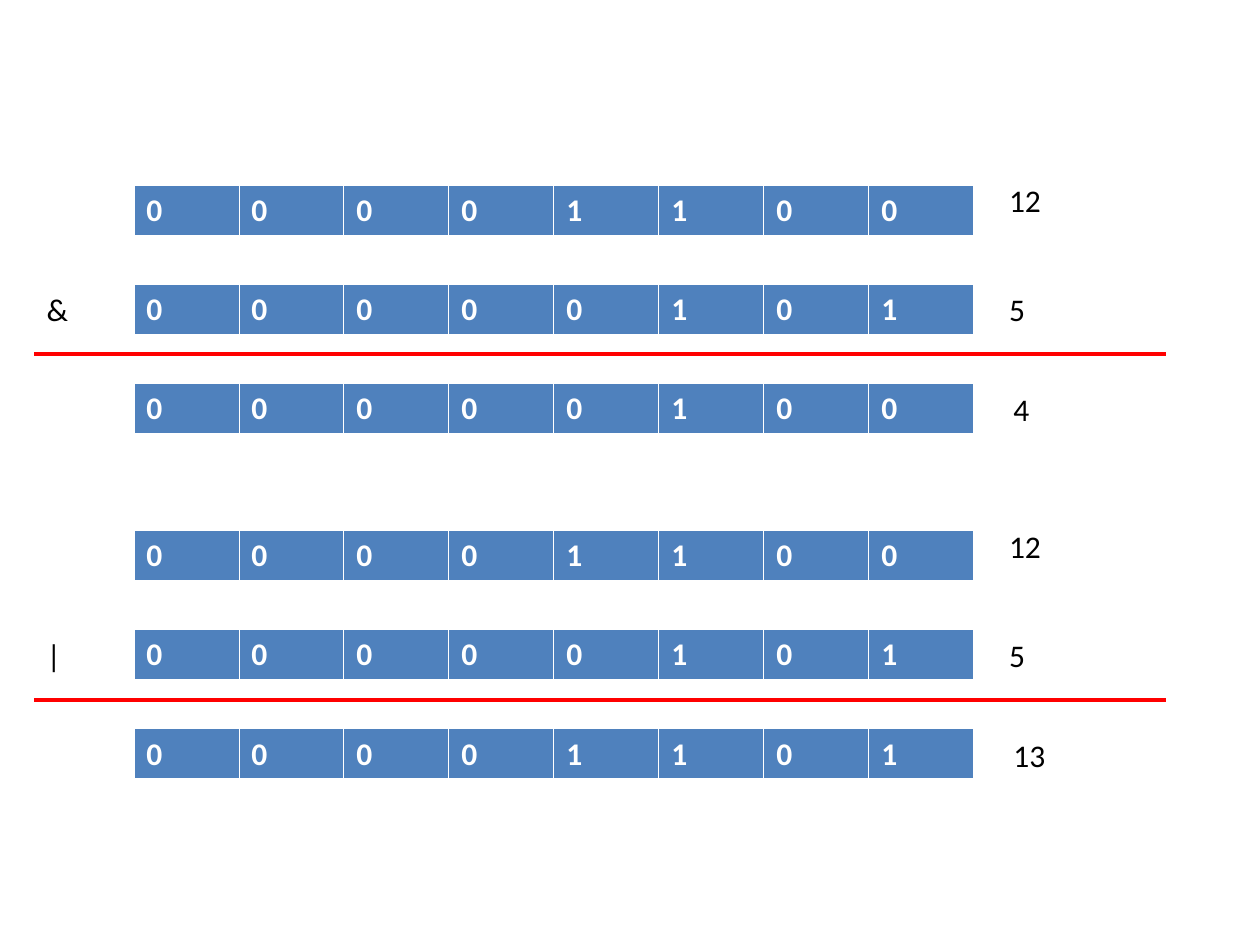
"""Build a slide showing bitwise AND and OR on two eight-bit numbers."""
import lxml.etree
import pptx
import pptx.dml.color
import pptx.enum.shapes
import pptx.enum.text
import pptx.oxml.ns
import pptx.util

Pt = pptx.util.Pt
BLUE = pptx.dml.color.RGBColor(0x4F, 0x81, 0xBD)
WHITE = pptx.dml.color.RGBColor(0xFF, 0xFF, 0xFF)
BLACK = pptx.dml.color.RGBColor(0x00, 0x00, 0x00)
RED = pptx.dml.color.RGBColor(0xFF, 0x00, 0x00)

BITS = 8
BIT_WIDTH = 60
ROW_HEIGHT = 29
ROW_PITCH = 56.6
BYTE_LEFT = 76.5
OPERATOR_LEFT, OPERATOR_WIDTH = 19.5, 51
VALUE_LEFT, VALUE_WIDTH = 569.5, 57
RULE_LEFT, RULE_RIGHT = 19.5, 666
RULE_DROP = 96.6
BORDERS = {"a:lnL": 0.45, "a:lnR": 0.45, "a:lnT": 0.45, "a:lnB": 1.47}


def write_text(frame, text, color=BLACK, bold=False, size=18, font="Calibri"):
    paragraph = frame.paragraphs[0]
    run = paragraph.add_run()
    run.text = text
    run.font.name = font
    run.font.size = Pt(size)
    run.font.bold = bold
    run.font.color.rgb = color


def add_label(slide, text, left, top, width):
    label = slide.shapes.add_textbox(Pt(left), Pt(top), Pt(width), Pt(ROW_HEIGHT))
    label.text_frame.word_wrap = True
    label.text_frame.auto_size = pptx.enum.text.MSO_AUTO_SIZE.SHAPE_TO_FIT_TEXT
    write_text(label.text_frame, text)


def set_borders(cell):
    properties = cell._tc.get_or_add_tcPr()
    for position, (side, width) in enumerate(BORDERS.items()):
        border = lxml.etree.Element(pptx.oxml.ns.qn(side), w=str(int(Pt(width))))
        fill = lxml.etree.SubElement(border, pptx.oxml.ns.qn("a:solidFill"))
        lxml.etree.SubElement(fill, pptx.oxml.ns.qn("a:srgbClr"), val=str(WHITE))
        properties.insert(position, border)


def add_byte(slide, number, top):
    byte = slide.shapes.add_table(
        1, BITS, Pt(BYTE_LEFT), Pt(top), Pt(BITS * BIT_WIDTH), Pt(ROW_HEIGHT)
    ).table
    byte.horz_banding = False
    for cell, bit in zip(byte.rows[0].cells, format(number, "08b")):
        cell.fill.solid()
        cell.fill.fore_color.rgb = BLUE
        set_borders(cell)
        write_text(cell.text_frame, bit, color=WHITE, bold=True)


def add_rule(slide, top):
    rule = slide.shapes.add_connector(
        pptx.enum.shapes.MSO_CONNECTOR.STRAIGHT,
        Pt(RULE_LEFT), Pt(top), Pt(RULE_RIGHT), Pt(top),
    )
    rule.line.color.rgb = RED
    rule.line.width = Pt(2.25)
    lxml.etree.SubElement(rule._element.spPr, pptx.oxml.ns.qn("a:effectLst"))


def add_operation(slide, operator, numbers, top):
    value_shifts = ((0, -5.7), (0, 0), (2.5, 0.5))
    for row, (number, (shift_x, shift_y)) in enumerate(zip(numbers, value_shifts)):
        row_top = top + row * ROW_PITCH
        add_byte(slide, number, row_top)
        add_label(slide, str(number), VALUE_LEFT + shift_x, row_top + shift_y, VALUE_WIDTH)
    add_label(slide, operator, OPERATOR_LEFT, top + ROW_PITCH, OPERATOR_WIDTH)
    add_rule(slide, top + RULE_DROP)


def main():
    deck = pptx.Presentation()
    deck.slide_width, deck.slide_height = Pt(720), Pt(540)
    slide = deck.slides.add_slide(deck.slide_layouts[6])
    first, second = 12, 5
    add_operation(slide, "&", (first, second, first & second), 105.8)
    add_operation(slide, "|", (first, second, first | second), 303.2)
    deck.save("out.pptx")


if __name__ == "__main__":
    main()
